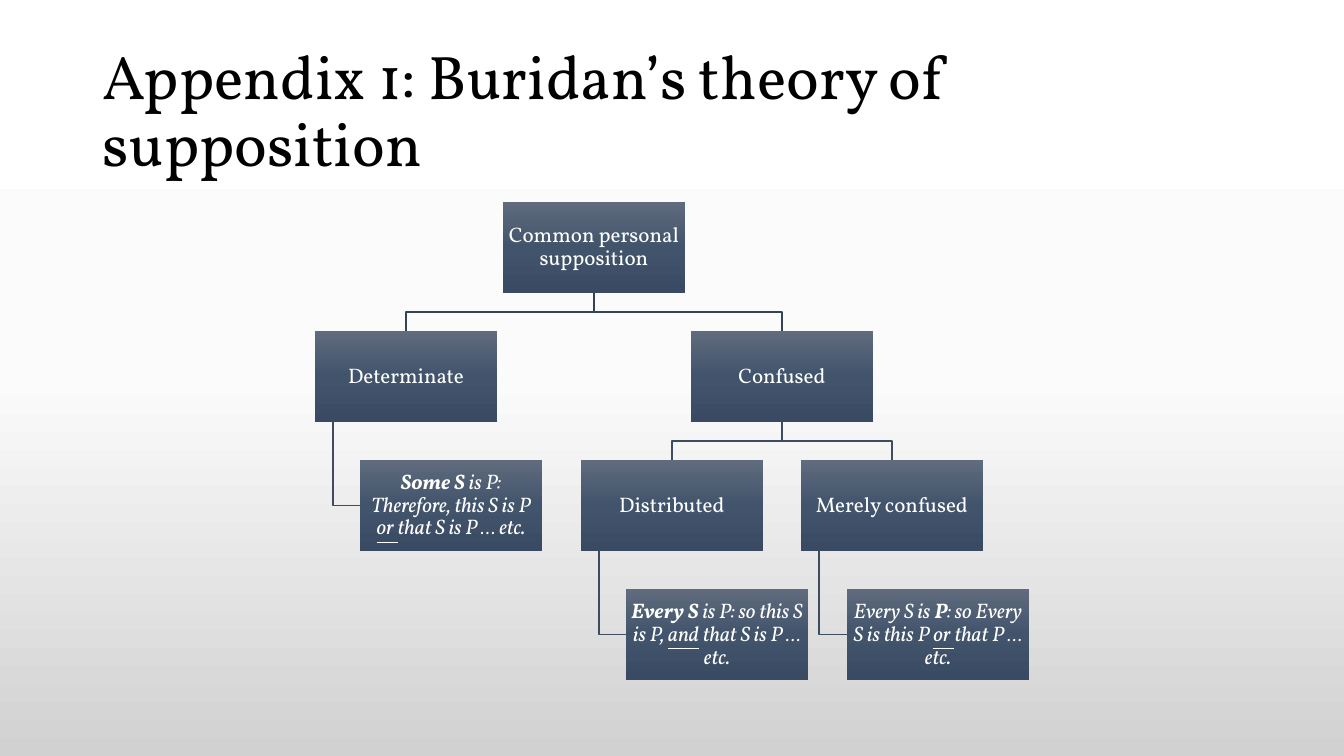
from copy import deepcopy

from pptx import Presentation
from pptx.dml.color import RGBColor
from pptx.enum.shapes import MSO_SHAPE
from pptx.enum.text import MSO_ANCHOR, PP_ALIGN
from pptx.oxml.ns import qn
from pptx.util import Pt

RECTANGLE = MSO_SHAPE.RECTANGLE
MIDDLE = MSO_ANCHOR.MIDDLE
CENTER = PP_ALIGN.CENTER
PX = 12192000 / 1344
FONT = "Vollkorn"
COLORS = {
    "page": ["FFFFFF", "FBFBFB", "D1D1D1"],
    "box": ["606B7D", "42546C", "394A62"],
    "upper line": "364355",
    "lower line": "3E4C60",
    "title": "000000",
    "label": "FFFFFF",
}

BOX_WIDTH, BOX_HEIGHT = 182, 91
TOP, LEVEL_STEP = 202, 129
HANG_INSET = 18
TITLE = "Appendix 1: Buridan’s theory of supposition"

NODES = {
    "common": (503, 0, None, [("Common personal supposition", "")]),
    "determinate": (315, 1, "common", [("Determinate", "")]),
    "some": (360, 2, "determinate", [
        ("Some S ", "bi"), ("is P: Therefore, this S is P ", "i"),
        ("or ", "iu"), ("that S is P … etc.", "i")]),
    "confused": (691, 1, "common", [("Confused", "")]),
    "distributed": (581, 2, "confused", [("Distributed", "")]),
    "every": (626, 3, "distributed", [
        ("Every S ", "bi"), ("is P: so this S is P, ", "i"),
        ("and", "iu"), (" that S is P … etc.", "i")]),
    "merely": (801, 2, "confused", [("Merely confused", "")]),
    "every is": (847, 3, "merely", [
        ("Every S is ", "i"), ("P", "bi"), (": so Every S is this P ", "i"),
        ("or ", "iu"), ("that P … etc.", "i")]),
}
HANGING = ("some", "every", "every is")


def px(*lengths):
    return [round(length * PX) for length in lengths]


def paint_gradient(fill, element, colors):
    fill.gradient()
    fill.gradient_angle = 270
    stops = next(element.iter(qn("a:gsLst")))
    stops.insert(1, deepcopy(stops[0]))
    for stop, color, position in zip(fill.gradient_stops, colors, (0, 0.5, 1)):
        stop.color.rgb = RGBColor.from_string(color)
        stop.position = position


deck = Presentation()
deck.slide_width, deck.slide_height = px(1344, 756)
page = deck.slides.add_slide(deck.slide_layouts[6])
paint_gradient(page.background.fill, page._element, COLORS["page"])

title = page.shapes.add_textbox(*px(93, 40, 1159, 146))
frame = title.text_frame
frame.word_wrap = True
frame.vertical_anchor = MIDDLE
frame.text = TITLE
para = frame.paragraphs[0]
para.line_spacing = 0.9
font = para.runs[0].font
font.name = FONT
font.size = Pt(44)
font.color.rgb = RGBColor.from_string(COLORS["title"])

for name, (left, level, parent, spans) in NODES.items():
    if parent is None:
        continue
    parent_left, parent_level = NODES[parent][:2]
    bottom = TOP + parent_level * LEVEL_STEP + BOX_HEIGHT
    top = TOP + level * LEVEL_STEP
    if name in HANGING:
        stem = parent_left + HANG_INSET
        middle = top + BOX_HEIGHT / 2
        points = [(stem, bottom), (stem, middle), (left, middle)]
    else:
        stem = parent_left + BOX_WIDTH / 2
        center = left + BOX_WIDTH / 2
        bend = (bottom + top) / 2
        points = [(stem, bottom), (stem, bend), (center, bend), (center, top)]
    points = [px(*point) for point in points]
    builder = page.shapes.build_freeform(*points[0], scale=1.0)
    builder.add_line_segments(points[1:], close=False)
    branch = builder.convert_to_shape()
    branch.shadow.inherit = False
    branch.fill.background()
    branch.line.width = Pt(1)
    tone = "upper line" if level == 1 else "lower line"
    branch.line.color.rgb = RGBColor.from_string(COLORS[tone])

for left, level, parent, spans in NODES.values():
    box = page.shapes.add_shape(
        RECTANGLE, *px(left, TOP + level * LEVEL_STEP, BOX_WIDTH, BOX_HEIGHT))
    box.shadow.inherit = False
    box.line.fill.background()
    paint_gradient(box.fill, box._element, COLORS["box"])
    frame = box.text_frame
    frame.word_wrap = True
    frame.vertical_anchor = MIDDLE
    frame.margin_left, frame.margin_top, frame.margin_right, frame.margin_bottom = px(1, 1, 1, 1)
    para = frame.paragraphs[0]
    para.alignment = CENTER
    para.line_spacing = 0.9
    for text, style in spans:
        span = para.add_run()
        span.text = text
        font = span.font
        font.name = FONT
        font.size = Pt(15)
        font.bold = "b" in style
        font.italic = "i" in style
        font.underline = "u" in style
        font.color.rgb = RGBColor.from_string(COLORS["label"])

deck.save("out.pptx")
